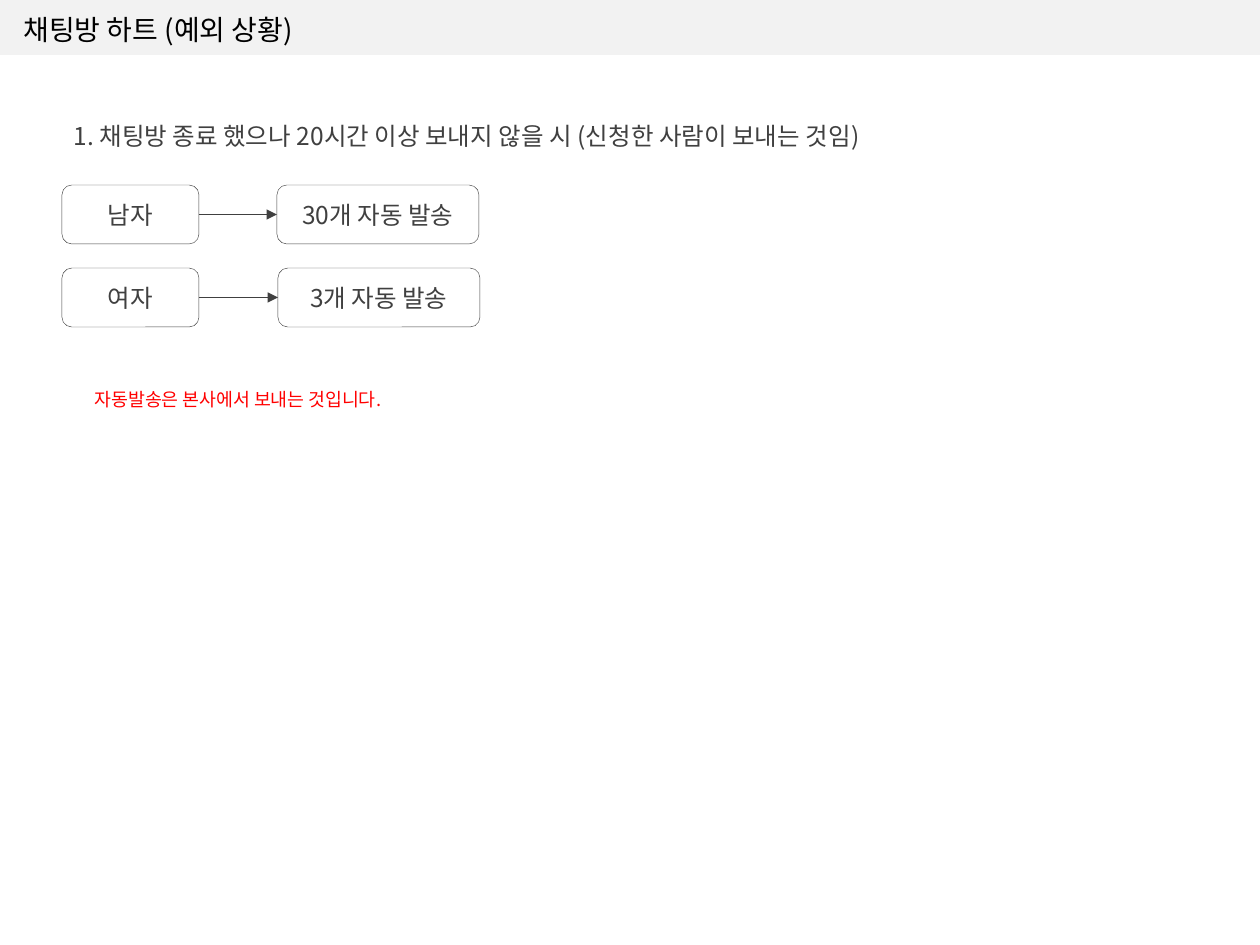
from dataclasses import dataclass

from lxml import etree
from pptx import Presentation
from pptx import util as u
from pptx.dml import color
from pptx.enum import shapes, text
from pptx.oxml import ns

FONT = "Noto Sans CJK KR"
PX_PER_INCH = 126
INK, RED, BAR, BLACK = "404040", "FF0000", "F2F2F2", "000000"
RIGHT_SITE, LEFT_SITE = 3, 1


@dataclass
class Box:
    x: int
    y: int
    w: int
    h: int = 59


@dataclass
class Rule:
    y: int
    sender: str
    result: str
    result_x: int


RULES = [
    Rule(185, "남자", "30개 자동 발송", 277),
    Rule(268, "여자", "3개 자동 발송", 278),
]


def px(length: int) -> u.Emu:
    return u.Emu(round(length * 914400 / PX_PER_INCH))


def rgb(hex_code: str) -> color.RGBColor:
    return color.RGBColor.from_string(hex_code)


def place(box: Box) -> tuple:
    return px(box.x), px(box.y), px(box.w), px(box.h)


def write(frame, words: str, size: float = 14, ink: str = INK,
          align=text.PP_ALIGN.CENTER, anchor=text.MSO_ANCHOR.MIDDLE) -> None:
    frame.word_wrap = True
    frame.vertical_anchor = anchor
    paragraph = frame.paragraphs[0]
    paragraph.alignment = align
    run = paragraph.add_run()
    run.text = words
    run.font.size = u.Pt(size)
    run.font.name = FONT
    run.font.color.rgb = rgb(ink)
    east_asian = etree.SubElement(run.font._element, ns.qn("a:ea"))
    east_asian.set("typeface", FONT)


def add_box(slide, box: Box, words: str = "", outline: str = "", fill: str = "",
            kind=shapes.MSO_SHAPE.ROUNDED_RECTANGLE, **style):
    shape = slide.shapes.add_shape(kind, *place(box))
    shape.shadow.inherit = False
    if fill:
        shape.fill.solid()
        shape.fill.fore_color.rgb = rgb(fill)
    else:
        shape.fill.background()
    if outline:
        shape.line.color.rgb = rgb(outline)
        shape.line.width = u.Pt(0.25)
    else:
        shape.line.fill.background()
    if words:
        write(shape.text_frame, words, **style)
    return shape


def add_arrow(slide, start, end) -> None:
    arrow = slide.shapes.add_connector(shapes.MSO_CONNECTOR.STRAIGHT, 0, 0, 0, 0)
    arrow.begin_connect(start, RIGHT_SITE)
    arrow.end_connect(end, LEFT_SITE)
    arrow.line.color.rgb = rgb(INK)
    arrow.line.width = u.Pt(0.75)
    line = arrow.line._get_or_add_ln()
    etree.SubElement(line, ns.qn("a:tailEnd")).set("type", "triangle")
    etree.SubElement(arrow._element.spPr, ns.qn("a:effectLst"))


def add_header(slide, words: str) -> None:
    bar = add_box(slide, Box(0, 0, 1260, 55), fill=BAR,
                  kind=shapes.MSO_SHAPE.RECTANGLE)
    title = slide.shapes.title
    title._element.addprevious(bar._element)
    title.left, title.top, title.width, title.height = place(Box(11, 6, 391, 47))
    write(title.text_frame, words, size=16, ink=BLACK,
          align=text.PP_ALIGN.LEFT, anchor=text.MSO_ANCHOR.TOP)
    title.text_frame.auto_size = text.MSO_AUTO_SIZE.NONE


def add_rule(slide, rule: Rule) -> None:
    sender = add_box(slide, Box(62, rule.y, 137), rule.sender, outline=INK)
    result = add_box(slide, Box(rule.result_x, rule.y, 202), rule.result, outline=INK)
    add_arrow(slide, sender, result)


def main() -> None:
    deck = Presentation()
    deck.slide_width, deck.slide_height = px(1260), px(945)
    slide = deck.slides.add_slide(deck.slide_layouts[5])
    add_header(slide, "채팅방 하트 (예외 상황)")
    add_box(slide, Box(-4, 106, 941),
            "1. 채팅방 종료 했으나 20시간 이상 보내지 않을 시 (신청한 사람이 보내는 것임)")
    for rule in RULES:
        add_rule(slide, rule)
    add_box(slide, Box(53, 370, 370), "자동발송은 본사에서 보내는 것입니다.",
            size=10.5, ink=RED)
    deck.save("out.pptx")


if __name__ == "__main__":
    main()
